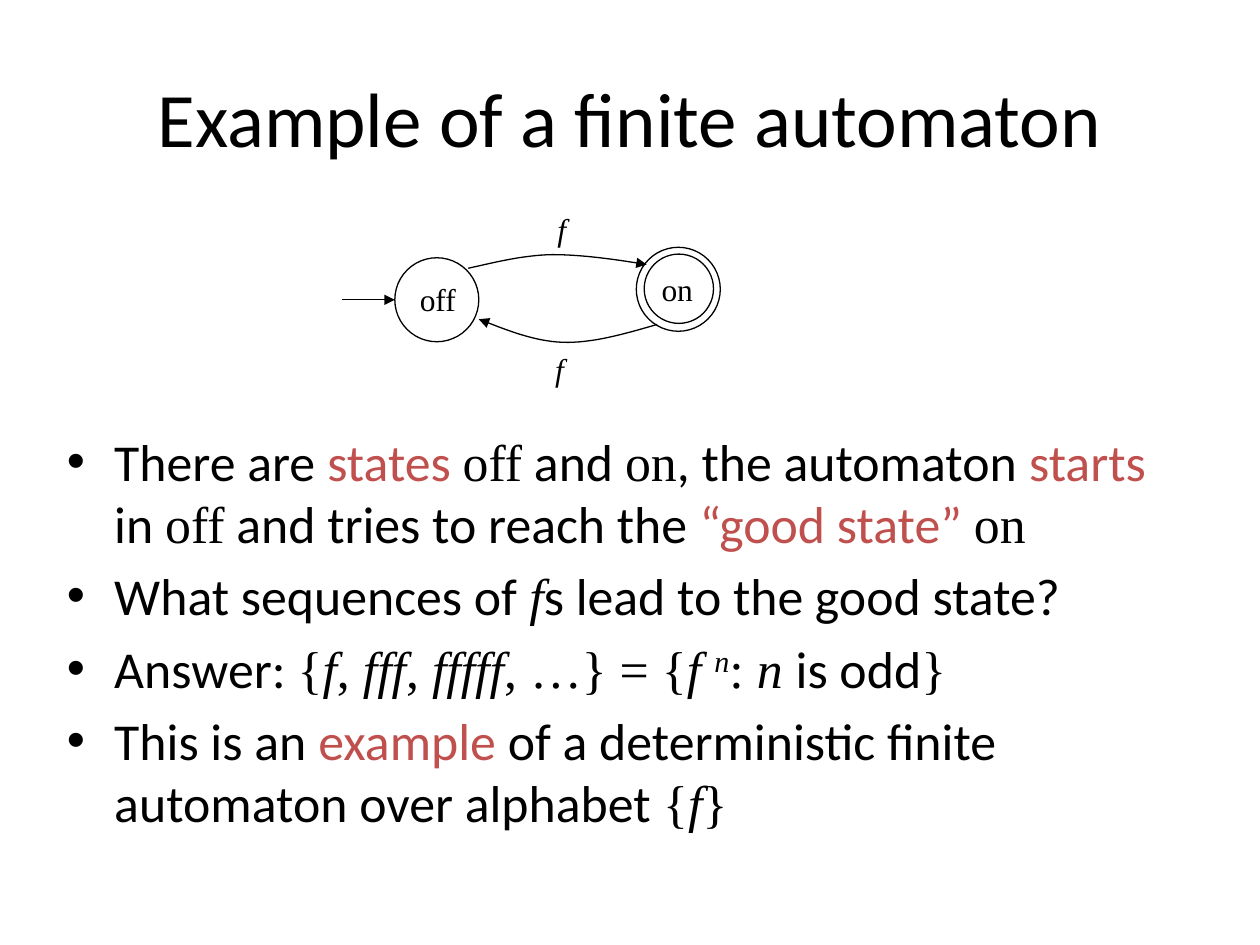
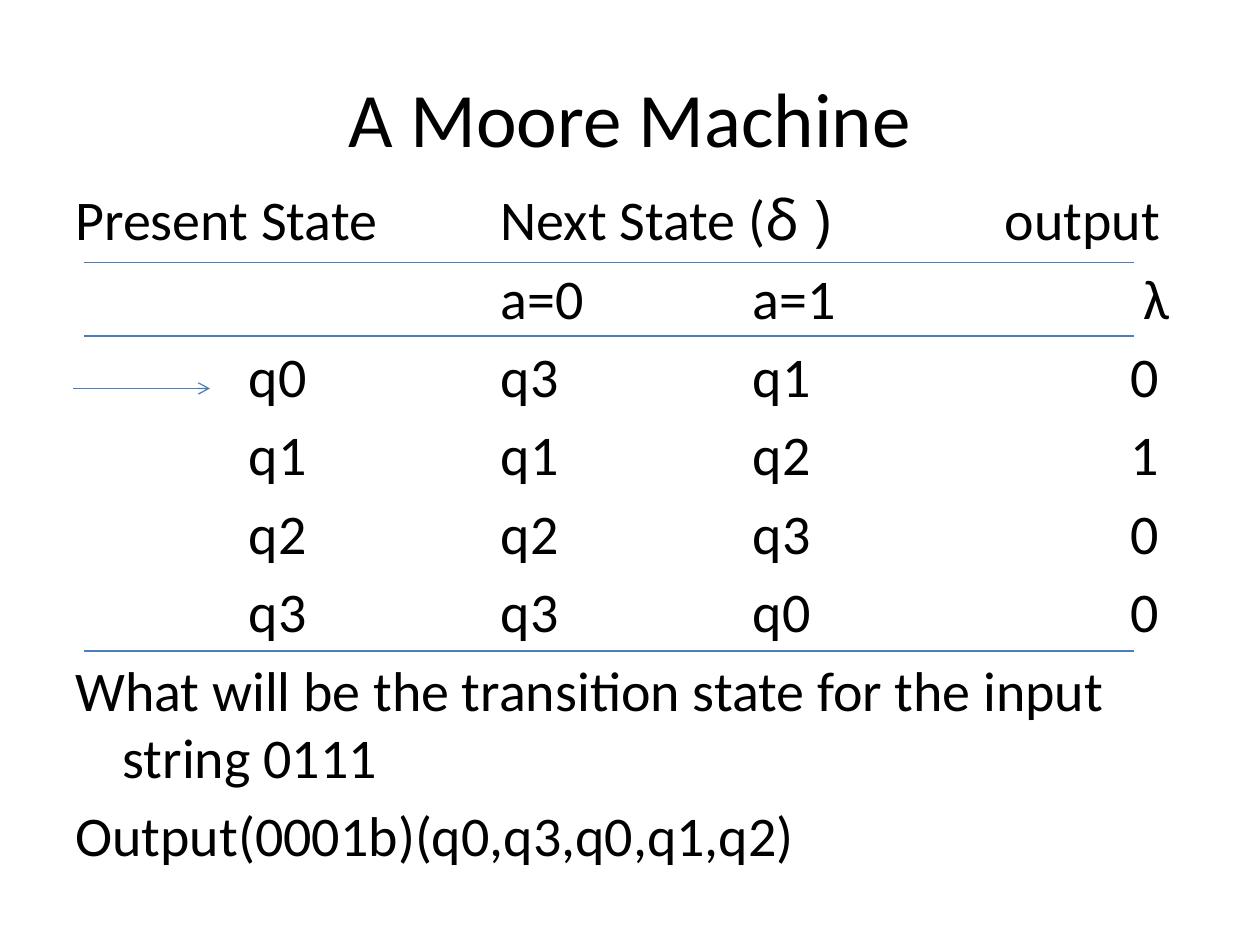
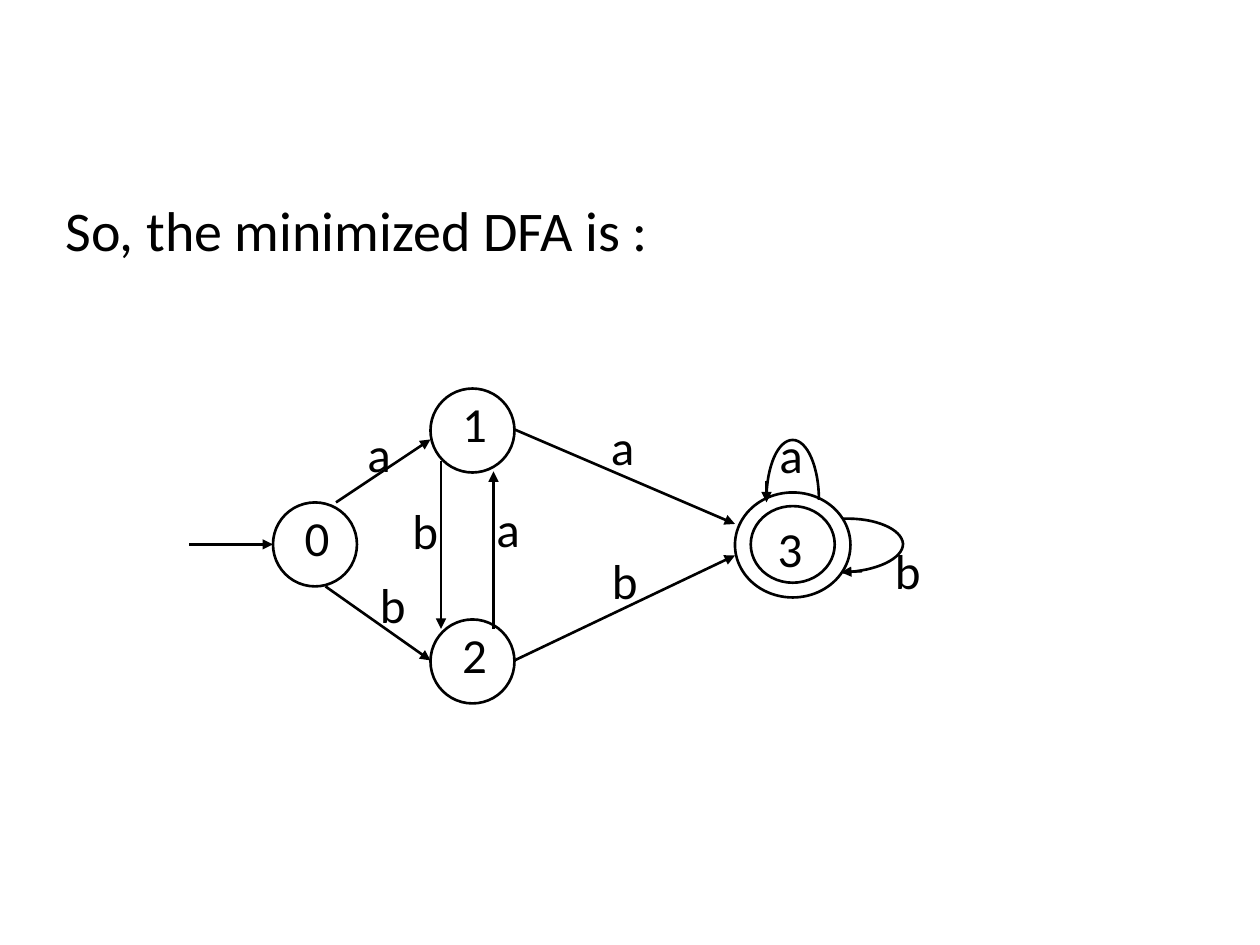
"""Build three slides about finite automata on a grid of twelfths of an inch."""
from lxml import etree
from pptx import Presentation
from pptx import util as u
from pptx.dml.color import RGBColor
from pptx.enum import shapes, text
from pptx.oxml.ns import qn

HUES = {"ink": "000000", "red": "C0504D", "rule": "4B7EBC"}
FONTS = {"c": "Calibri", "t": "Times New Roman", "n": "Noto Sans"}
CELL = u.Inches(1) // 12
HANG = 4.5


def grid(*cells):
    return [u.Emu(round(c * CELL)) for c in cells]


def bend(pts, steps=16):
    """Yield points along joined cubic curves."""
    for k in range(0, len(pts) - 1, 3):
        for n in range(1, steps + 1):
            t = n / steps
            mix = ((1 - t) ** 3, 3 * t * (1 - t) ** 2, 3 * t * t * (1 - t), t ** 3)
            yield [sum(m * p[axis] for m, p in zip(mix, pts[k:k + 4])) for axis in (0, 1)]


class Deck:
    """Hold the style and the current slide."""

    def __init__(self):
        self.prs = Presentation()
        self.prs.slide_width, self.prs.slide_height = grid(120, 90)

    def page(self, title=None, wide=0.75):
        self.slide = self.prs.slides.add_slide(self.prs.slide_layouts[6])
        self.wide = wide
        if title:
            frame = self.box(6, 3.6, 108, 15)
            frame.vertical_anchor = text.MSO_ANCHOR.MIDDLE
            para = frame.paragraphs[0]
            para.alignment = text.PP_ALIGN.CENTER
            self.run(para, title, 44)

    def box(self, *area, wrap=True):
        frame = self.slide.shapes.add_textbox(*grid(*area)).text_frame
        frame.word_wrap = wrap
        return frame

    def run(self, para, words, size, style="c"):
        """Add a run; style letters: font c/t/n, i italic, r red, s raised."""
        run = para.add_run()
        run.text = words
        font = run.font
        font.size = u.Pt(size)
        font.name = next(FONTS[s] for s in style if s in FONTS)
        font.italic = "i" in style
        font.color.rgb = RGBColor.from_string(HUES["red" if "r" in style else "ink"])
        if "s" in style:
            run._r.get_or_add_rPr().set("baseline", "30000")

    def body(self, area, rows, size, dot=False):
        """Add hanging paragraphs, each a list of (words, style), with inch tabs."""
        frame = self.box(*area)
        hang, inch = grid(HANG, 12)
        for k, runs in enumerate(rows):
            para = frame.add_paragraph() if k else frame.paragraphs[0]
            para.space_before = u.Pt(round(size / 5, 1) if k else 0)
            props = para._p.get_or_add_pPr()
            for key, size_emu in (("marL", hang), ("indent", -hang), ("defTabSz", inch)):
                props.set(key, str(int(size_emu)))
            if dot:
                etree.SubElement(props, qn("a:buFont"), typeface="Arial")
                etree.SubElement(props, qn("a:buChar"), char="•")
            for words, style in runs:
                self.run(para, words, size, style)

    def label(self, mid, top, words, size=28, style="c"):
        frame = self.box(mid - 3, top, 6, 6.8 if size > 20 else 4.8, wrap=False)
        frame.paragraphs[0].alignment = text.PP_ALIGN.CENTER
        self.run(frame.paragraphs[0], words, size, style)

    def ink(self, item, hue="ink", tip=None):
        item.line.color.rgb = RGBColor.from_string(HUES[hue])
        item.line.width = u.Pt(self.wide)
        if tip:
            line = item._element.spPr.find(qn("a:ln"))
            etree.SubElement(line, qn("a:tailEnd"), type=tip)

    def ring(self, x, y, w=8, h=None):
        ring = self.slide.shapes.add_shape(
            shapes.MSO_SHAPE.OVAL, *grid(x, y, w, h or w))
        ring.shadow.inherit = False
        ring.fill.background()
        self.ink(ring)

    def line(self, x1, y1, x2, y2, hue="ink", tip="triangle"):
        line = self.slide.shapes.add_connector(
            shapes.MSO_CONNECTOR.STRAIGHT, *grid(x1, y1, x2, y2))
        self.ink(line, hue, tip)
        etree.SubElement(line._element.spPr, qn("a:effectLst"))

    def curve(self, *pts, tip="triangle"):
        pen = self.slide.shapes.build_freeform(*grid(*pts[0]), scale=1.0)
        pen.add_line_segments([grid(*p) for p in bend(pts)], close=False)
        arc = pen.convert_to_shape()
        arc.shadow.inherit = False
        arc.fill.background()
        self.ink(arc, tip=tip)


def switch(deck):
    deck.page("Example of a finite automaton")
    deck.body((5.2, 40.3, 109.7, 43.4), [
        [("There are ", "c"), ("states ", "cr"), ("off", "t"), (" and ", "c"),
         ("on", "t"), (", the automaton ", "c"), ("starts", "cr"), (" in ", "c"),
         ("off", "t"), (" and tries to reach the ", "c"),
         ("“good state” ", "cr"), ("on", "t")],
        [("What sequences of ", "c"), ("f", "ti"), ("s lead to the good state?", "c")],
        [("Answer: ", "c"), ("{", "t"), ("f", "ti"), (", ", "t"), ("fff", "ti"),
         (", ", "t"), ("fffff", "ti"), (", …} = {", "t"), ("f ", "ti"),
         ("n", "tis"), (": ", "t"), ("n ", "ti"), ("is odd", "c"), ("}", "t")],
        [("This is an ", "c"), ("example", "cr"),
         (" of a deterministic finite automaton over alphabet ", "c"),
         ("{", "t"), ("f", "ti"), ("}", "t")],
    ], 29.6, dot=True)
    deck.ring(37.6, 24.55)
    deck.ring(60.6, 23.55)
    deck.ring(61.35, 24.2, 6.6)
    deck.curve((44.6, 25.55), (47.1, 25), (49.8, 24.3), (52.6, 24.25),
               (55.4, 24.25), (58.6, 24.7), (61.6, 25.2))
    deck.curve((62.6, 30.9), (59.5, 31.8), (56.4, 32.7), (53.6, 32.6),
               (50.8, 32.5), (48.2, 31.4), (45.6, 30.4))
    deck.line(32.6, 28.55, 37.6, 28.55)
    for mid, top, words, style in ((41.7, 26.1, "off", "t"), (64.5, 25.1, "on", "t"),
                                   (53.5, 19.4, "f", "ti"), (53.3, 32.7, "f", "ti")):
        deck.label(mid, top, words, 18, style)


def moore(deck):
    deck.page("A Moore Machine")
    rows = [[("Present State\tNext State (", "c"), ("δ )\t", "n"), ("\toutput", "c")],
            [("\t\t\t\ta=0\t\ta=1\t\t\t λ", "c")]]
    for now, zero, one, out in ("q0 q3 q1 0".split(), "q1 q1 q2 1".split(),
                                "q2 q2 q3 0".split(), "q3 q3 q0 0".split()):
        rows.append([(f"\t\t{now}\t\t{zero}\t\t{one}\t\t\t{out}", "c")])
    for words in ("What will be the transition state for the input string 0111",
                  "Output(0001b)(q0,q3,q0,q1,q2)"):
        rows.append([(words, "c")])
    deck.body((6, 17, 108, 68), rows, 32)
    for y in (25, 32, 62):
        deck.line(8, y, 108, y, "rule", None)
    deck.line(7, 37, 20, 37, "rule", "arrow")


def small(deck):
    deck.page(wide=1.5)
    deck.body((5.05, 18, 108, 8), [[("So, the minimized DFA is :", "c")]], 32)
    for name, x, y in (("0", 26, 47.85), ("1", 41, 37), ("2", 41, 59)):
        deck.ring(x, y)
        deck.label(x + 4.2, y - 0.1, name)
    deck.ring(70, 46.9, 11, 10)
    deck.ring(71.5, 48.2, 8, 7.3)
    deck.label(75.25, 48.75, "3")
    for ends in ((18, 51.85, 26, 51.85), (32, 47.85, 41, 41.85), (31, 55.85, 41, 62.9),
                 (42, 43.9, 42, 59.9), (47, 59.9, 47, 44.9),
                 (49, 40.9, 70, 49.9), (49, 62.9, 70, 52.9),
                 (73, 45.8, 73, 47.85), (82.1, 54.4, 80.1, 54.5)):
        deck.line(*ends)
    deck.curve((78, 47.6), (78, 44.5), (76.9, 41.9), (75.5, 41.9),
               (74.1, 41.9), (73, 44.4), (73, 47.6), tip=None)
    deck.curve((80.3, 49.4), (83.4, 49.3), (85.9, 50.4), (86, 51.8),
               (86, 53.2), (83.5, 54.4), (80.3, 54.5), tip=None)
    for mid, top, words in ((36.1, 39.7, "a"), (48.4, 46.9, "a"), (37.4, 54.1, "b"),
                            (40.5, 47.05, "b"), (59.3, 39.1, "a"), (75.35, 39.8, "a"),
                            (59.5, 51.8, "b"), (86.45, 50.9, "b")):
        deck.label(mid, top, words)


def main():
    deck = Deck()
    for draw in (switch, moore, small):
        draw(deck)
    deck.prs.save("out.pptx")


if __name__ == "__main__":
    main()
